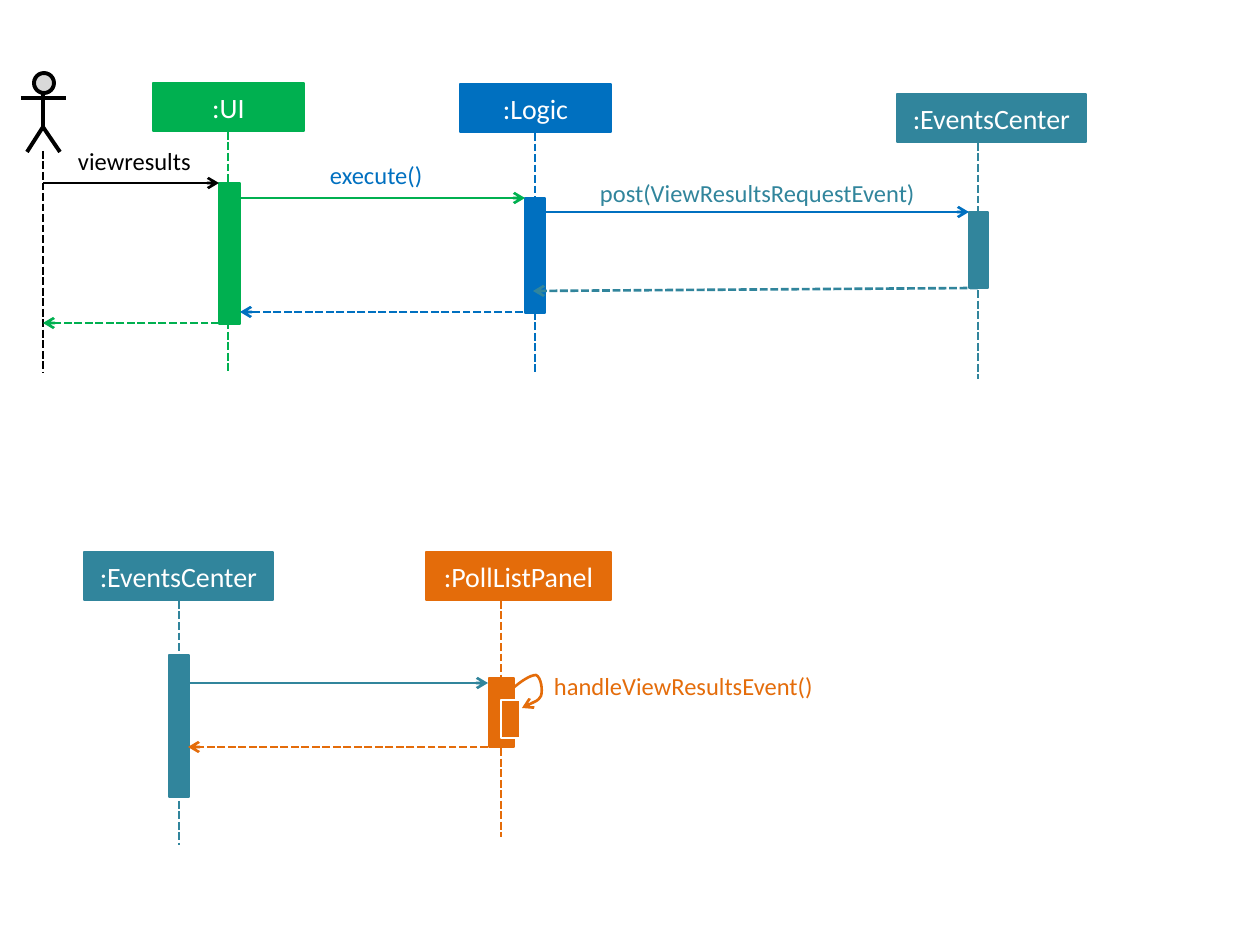
from lxml.etree import SubElement
from pptx import Presentation
from pptx.dml.color import RGBColor
from pptx.enum.dml import MSO_LINE
from pptx.enum.shapes import MSO_CONNECTOR, MSO_SHAPE as SHAPE
from pptx.enum.text import MSO_ANCHOR, MSO_AUTO_SIZE, PP_ALIGN
from pptx.oxml.ns import qn
from pptx.util import Emu, Pt

BLACK = RGBColor(0x00, 0x00, 0x00)
WHITE = RGBColor(0xFF, 0xFF, 0xFF)
GREY = RGBColor(0xD9, 0xD9, 0xD9)
GREEN = RGBColor(0x00, 0xB0, 0x50)
BLUE = RGBColor(0x00, 0x70, 0xC0)
TEAL = RGBColor(0x31, 0x85, 0x9C)
ORANGE = RGBColor(0xE4, 0x6C, 0x0A)


def px(length):
    return Emu(round(length * 914400 / 126))


class SequenceDiagram:
    font = "Calibri"

    def __init__(self, page):
        self.shapes = page.shapes

    def outline(self, shape, color, width, arrow=None):
        shape.line.color.rgb = color
        shape.line.width = Pt(width)
        if arrow:
            line = shape._element.spPr.find(qn("a:ln"))
            SubElement(line, qn(f"a:{arrow}"), type="arrow")

    def add_text(self, frame, text, size, color):
        para = frame.paragraphs[0]
        span = para.add_run()
        span.text = text
        span.font.name, span.font.size = self.font, Pt(size)
        span.font.color.rgb = color
        return para

    def block(self, at, fill, line=None, width=0.75, kind=SHAPE.RECTANGLE):
        shape = self.shapes.add_shape(kind, *map(px, at))
        shape.shadow.inherit = False
        shape.fill.solid()
        shape.fill.fore_color.rgb = fill
        self.outline(shape, fill if line is None else line, width)
        return shape

    def line(self, start, end, color, width=1.5, dashed=False, arrow=None):
        link = self.shapes.add_connector(
            MSO_CONNECTOR.STRAIGHT, *map(px, start + end))
        link.line.color.rgb = color
        if dashed:
            link.line.dash_style = MSO_LINE.SQUARE_DOT
        self.outline(link, color, width, arrow)
        SubElement(link._element.spPr, qn("a:effectLst"))

    def message(self, start, end, color, dashed=False):
        self.line(start, end, color, dashed=dashed, arrow="tailEnd")

    def label(self, at, text, color):
        box = self.shapes.add_textbox(*map(px, at))
        frame = box.text_frame
        frame.margin_left = frame.margin_right = 0
        frame.margin_top = frame.margin_bottom = 0
        frame.word_wrap = False
        frame.auto_size = MSO_AUTO_SIZE.SHAPE_TO_FIT_TEXT
        self.add_text(frame, text, 14, color)

    def participant(self, name, color, left, top, width, axis, bottom, bar):
        head = self.block((left, top, width, 48), color, width=1.5)
        head.text_frame.vertical_anchor = MSO_ANCHOR.MIDDLE
        head.text_frame.word_wrap = False
        para = self.add_text(head.text_frame, name, 16, WHITE)
        para.alignment = PP_ALIGN.CENTER
        self.line((axis, top + 49), (axis, bottom), color, dashed=True)
        self.block(bar, color)

    def outline_shape(self, points, color, width, arrow=None):
        pen = self.shapes.build_freeform(*points[0], scale=px(1))
        pen.add_line_segments(points[1:], close=False)
        shape = pen.convert_to_shape()
        shape.shadow.inherit = False
        shape.fill.background()
        self.outline(shape, color, width, arrow)
        return shape

    def curve(self, points, color, arrow):
        """Draw cubic segments: a start, then three points for each."""
        shape = self.outline_shape(points, color, 1.5, arrow)
        steps = list(shape._element.iter(qn("a:lnTo")))
        track = steps[0].getparent()
        for first in range(0, len(steps), 3):
            bend = SubElement(track, qn("a:cubicBezTo"))
            for step in steps[first:first + 3]:
                bend.append(step[0])
                track.remove(step)

    def actor(self, x, top):
        self.block((x - 9, top, 20, 20), GREY, BLACK, 2.25, SHAPE.FLOWCHART_CONNECTOR)
        self.line((x, top + 20), (x, top + 55), BLACK, 2.25)
        self.outline_shape([(x - 16, top + 79), (x, top + 54), (x + 17, top + 79)],
                           BLACK, 2.25)
        self.line((x - 22, top + 25), (x + 23, top + 25), BLACK, 2.25)
        self.line((x, top + 78), (x, 372), BLACK, dashed=True)


deck = Presentation()
deck.slide_width, deck.slide_height = px(1260), px(945)
page = deck.slides.add_slide(deck.slide_layouts[6])
diagram = SequenceDiagram(page)

# Actor and participants: head left, top, width; lifeline x, bottom; activation bar
diagram.actor(43, 73)
for participant in (
    (":UI", GREEN, 153, 83, 151, 228, 372, (219, 183, 21, 141)),
    (":Logic", BLUE, 460, 84, 151, 535, 372, (525, 198, 20, 115)),
    (":EventsCenter", TEAL, 897, 94, 189, 978, 379, (969, 212, 19, 76)),
    (":PollListPanel", ORANGE, 426, 552, 185, 501, 837, (489, 678, 25, 69)),
    (":EventsCenter", TEAL, 84, 552, 189, 179, 845, (169, 655, 20, 142)),
):
    diagram.participant(*participant)

# Calls
for start, end, color in (
    ((43, 183), (219, 183), BLACK),
    ((240, 198), (525, 198), GREEN),
    ((545, 212), (969, 212), BLUE),
    ((188, 683), (488, 683), TEAL),
):
    diagram.message(start, end, color)

# Returns
for start, end, color in (
    ((978, 288), (533, 291), TEAL),
    ((523, 312), (240, 312), BLUE),
    ((219, 323), (43, 323), GREEN),
    ((488, 747), (188, 747), ORANGE),
):
    diagram.message(start, end, color, dashed=True)

# Self call
diagram.curve([(522, 708), (530, 704), (538, 701), (541, 696),
               (543, 690), (541, 677), (536, 675),
               (530, 675), (520, 682), (512, 689)], ORANGE, "headEnd")
diagram.block((501, 700, 19, 38), ORANGE, WHITE)

# Message labels
for at, text, color in (
    ((78, 146, 118, 30), "viewresults", BLACK),
    ((330, 160, 95, 30), "execute()", BLUE),
    ((600, 178, 336, 30), "post(ViewResultsRequestEvent)", TEAL),
    ((554, 671, 275, 30), "handleViewResultsEvent()", ORANGE),
):
    diagram.label(at, text, color)

deck.save("out.pptx")
